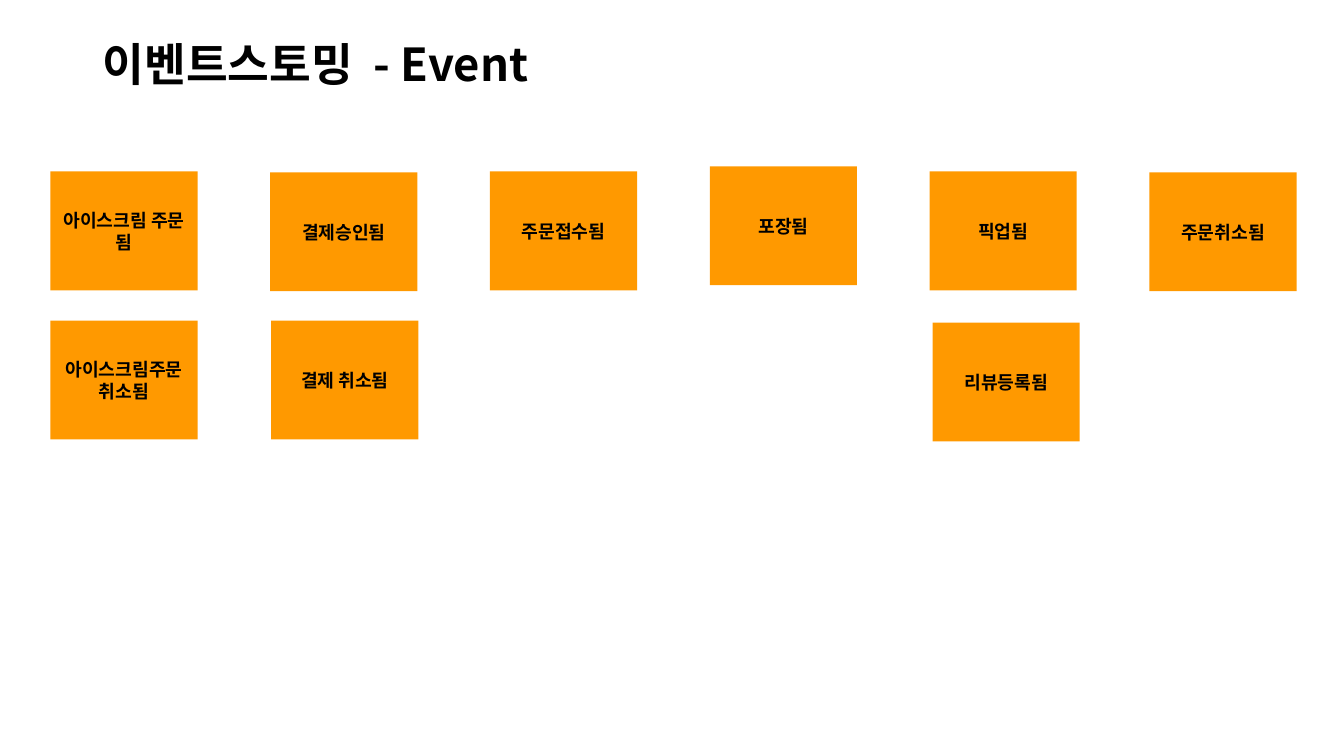
from pptx import Presentation
from pptx.dml.color import RGBColor
from pptx.enum.shapes import MSO_SHAPE
from pptx.enum.text import MSO_ANCHOR, PP_ALIGN
from pptx.oxml.ns import qn
from pptx.util import Inches, Pt
from lxml import etree

RECTANGLE = MSO_SHAPE.RECTANGLE
MIDDLE = MSO_ANCHOR.MIDDLE
LEFT, CENTER = PP_ALIGN.LEFT, PP_ALIGN.CENTER

# Content: title pieces, then (column, text, nudge right, nudge down) per row
TITLE_PARTS = ("이벤트스토밍", " ", "- Event")
EVENT_ROWS = [
    [
        (0, "아이스크림 주문 됨", 0, 0),
        (1, "결제승인됨", 0, 0.01),
        (2, "주문접수됨", 0, 0),
        (3, "포장됨", 0, -0.05),
        (4, "픽업됨", 0, 0),
        (5, "주문취소됨", 0, 0.01),
    ],
    [
        (0, "아이스크림주문 취소됨", 0, 0),
        (1, "결제 취소됨", 0.01, 0),
        (4, "리뷰등록됨", 0.03, 0.02),
    ],
]

THEME = {
    "font": "Noto Sans CJK KR",
    "text": RGBColor(0x00, 0x00, 0x00),
    "event": RGBColor(0xFF, 0x99, 0x00),
    "title_size": Pt(32.4),
    "event_size": Pt(13),
}

# Layout in inches
NOTE_WIDTH, NOTE_HEIGHT = 1.46, 1.18
FIRST_LEFT, FIRST_TOP = 0.5, 1.7
COLUMN_STEP, ROW_STEP = 2.18, 1.48
TITLE_GAP = "740"  # extra space before the dash, in hundredths of a point


def style_paragraph(paragraph, size, alignment):
    paragraph.alignment = alignment
    font = paragraph.font
    font.name = THEME["font"]
    font.size = size
    font.bold = True
    font.color.rgb = THEME["text"]
    # Korean glyphs take the East Asian typeface
    defaults = paragraph._p.pPr.find(qn("a:defRPr"))
    etree.SubElement(defaults, qn("a:ea"), typeface=THEME["font"])


def add_title(slide):
    box = slide.shapes.add_textbox(Inches(0.92), Inches(0.4), Inches(11.5), Inches(0.53))
    frame = box.text_frame
    frame.word_wrap = True
    frame.vertical_anchor = MIDDLE
    paragraph = frame.paragraphs[0]
    paragraph.line_spacing = 0.9
    for part in TITLE_PARTS:
        run = paragraph.add_run()
        run.text = part
        if part == " ":
            run._r.get_or_add_rPr().set("spc", TITLE_GAP)
    style_paragraph(paragraph, THEME["title_size"], LEFT)


def add_event(slide, text, left, top):
    shape = slide.shapes.add_shape(
        RECTANGLE, Inches(left), Inches(top), Inches(NOTE_WIDTH), Inches(NOTE_HEIGHT)
    )
    shape.shadow.inherit = False
    shape.fill.solid()
    shape.fill.fore_color.rgb = THEME["event"]
    shape.line.fill.background()
    frame = shape.text_frame
    frame.word_wrap = True
    frame.vertical_anchor = MIDDLE
    paragraph = frame.paragraphs[0]
    paragraph.text = text
    style_paragraph(paragraph, THEME["event_size"], CENTER)


def main():
    presentation = Presentation()
    presentation.slide_width = Inches(13.33)
    presentation.slide_height = Inches(7.5)
    slide = presentation.slides.add_slide(presentation.slide_layouts[6])

    add_title(slide)

    # Event notes on the grid
    for row, events in enumerate(EVENT_ROWS):
        for column, text, shift_right, shift_down in events:
            left = FIRST_LEFT + column * COLUMN_STEP + shift_right
            top = FIRST_TOP + row * ROW_STEP + shift_down
            add_event(slide, text, left, top)

    presentation.save("out.pptx")


if __name__ == "__main__":
    main()
